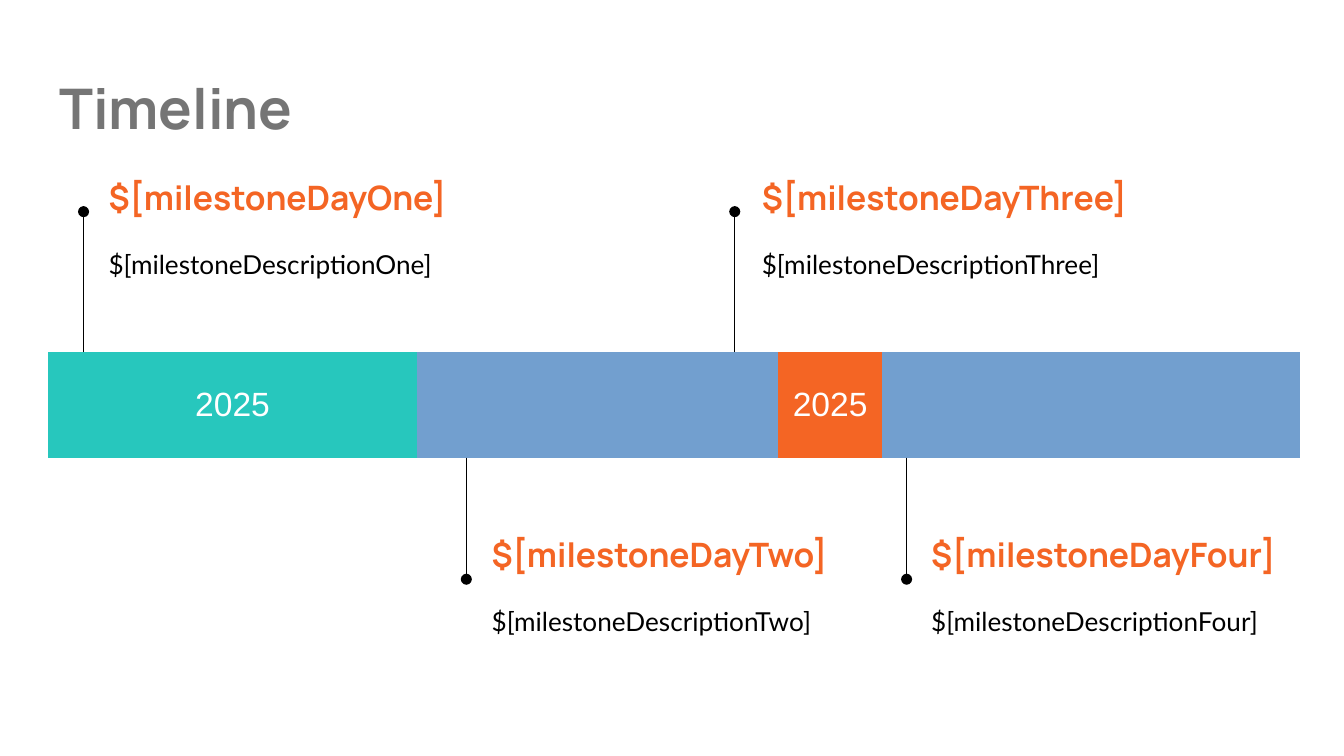
from dataclasses import dataclass

from lxml.etree import SubElement
from pptx import Presentation
from pptx.dml.color import RGBColor
from pptx.enum.shapes import MSO_CONNECTOR as Conn
from pptx.enum.text import MSO_ANCHOR as Anchor, MSO_AUTO_SIZE as AutoSize, PP_ALIGN as Align
from pptx.oxml.ns import qn
from pptx.util import Inches, Pt

COLS, ROWS = 100, 56.25  # grid of the slide
NO_GRID = "{2D5ABB26-0587-4C30-8999-92F81FD0307C}"  # table style without borders


@dataclass(frozen=True)
class Theme:
    grey: str = "757575"
    orange: str = "F46524"
    teal: str = "27C7BD"
    black: str = "000000"
    white: str = "FFFFFF"
    head_font: str = "Manrope"
    body_font: str = "Lato"
    bar_font: str = "Arial"
    title_size: int = 30
    head_size: int = 18
    body_size: int = 14
    line_width: float = 0.75


def write(tf, text, *, font, size, color, bold=False, align=Align.LEFT, spacing=None):
    p = tf.paragraphs[0]
    p.alignment = align
    p.line_spacing = spacing
    r = p.add_run()
    r.text = text
    r.font.name, r.font.size, r.font.bold = font, Pt(size), bold
    r.font.color.rgb = RGBColor.from_string(color)


class TimelineSlide:
    def __init__(self, prs, theme):
        self.t = theme
        self.w, self.h = prs.slide_width, prs.slide_height
        self.s = prs.slides.add_slide(prs.slide_layouts[5])

    def x(self, cols):
        return round(self.w * cols / COLS)

    def y(self, rows):
        return round(self.h * rows / ROWS)

    def box(self, left, top, width, height):
        return self.x(left), self.y(top), self.x(width), self.y(height)

    def pad(self, holder, anchor):
        holder.margin_left = holder.margin_right = Inches(0.1)
        holder.margin_top = holder.margin_bottom = Inches(0.1)
        holder.vertical_anchor = anchor

    def frame(self, sp, text, anchor, **style):
        tf = sp.text_frame
        tf.word_wrap = True
        tf.auto_size = AutoSize.NONE
        self.pad(tf, anchor)
        write(tf, text, **style)

    def title(self, text, *place):
        sp = self.s.shapes.title
        sp.left, sp.top, sp.width, sp.height = self.box(*place)
        self.frame(sp, text, Anchor.TOP, font=self.t.head_font, size=self.t.title_size,
                   color=self.t.grey, bold=True)

    def text(self, text, *place, anchor=Anchor.TOP, **style):
        self.frame(self.s.shapes.add_textbox(*self.box(*place)), text, anchor, **style)

    def bar(self, left, top, height, widths, segments):
        sp = self.s.shapes.add_table(1, len(widths), *self.box(left, top, sum(widths), height))
        table = sp.table
        table.first_row = table.horz_banding = False
        sp._element.find(".//" + qn("a:tableStyleId")).text = NO_GRID
        for column, width in zip(table.columns, widths):
            column.width = self.x(width)

        start = 0
        for span, label, color in segments:
            cell = table.cell(0, start)
            cell.merge(table.cell(0, start + span - 1))
            cell.fill.solid()
            cell.fill.fore_color.rgb = RGBColor.from_string(color)
            self.pad(cell, Anchor.MIDDLE)
            write(cell.text_frame, label, font=self.t.bar_font, size=self.t.head_size,
                  color=self.t.white, align=Align.CENTER)
            start += span

    def pin(self, col, start, end):
        line = self.s.shapes.add_connector(Conn.STRAIGHT, self.x(col), self.y(start),
                                           self.x(col), self.y(end))
        line.line.width = Pt(self.t.line_width)
        line.line.color.rgb = RGBColor.from_string(self.t.black)
        SubElement(line.line._get_or_add_ln(), qn("a:tailEnd"), type="oval")
        SubElement(line._element.spPr, qn("a:effectLst"))

    def milestone(self, name, pin_col, left, width, above):
        if above:
            bar_edge, dot, top, body_height = 26.2, 15.75, 11.5, 7.9
        else:
            bar_edge, dot, top, body_height = 34.05, 43.1, 38.1, 9.1
        self.pin(pin_col, bar_edge, dot)
        self.text(f"$[milestoneDay{name}]", left, top, width, 6.3, anchor=Anchor.MIDDLE,
                  font=self.t.head_font, size=self.t.head_size, color=self.t.orange, bold=True)
        self.text(f"$[milestoneDescription{name}]", left, top + 5.6, width, body_height,
                  font=self.t.body_font, size=self.t.body_size, color=self.t.black,
                  spacing=1.15)


def main():
    prs = Presentation()
    prs.slide_width = Inches(10)
    prs.slide_height = prs.slide_width * 9 // 16
    theme = Theme()
    slide = TimelineSlide(prs, theme)

    slide.title("Timeline", 3.4, 4.5, 93.2, 7)

    # Timeline bar: column span, label and colour of each segment
    month = 7.77
    slide.bar(3.55, 26.2, 7.9, [month] * 3 + [4.2, 11.3] + [month] * 7, [
        (4, "2025", theme.teal),
        (8, "2025", theme.orange),
    ])

    # Milestones: name, pin column, text column, text width, above the bar
    for milestone in [
        ("One", 6.22, 7.1, 30, True),
        ("Two", 34.7, 35.6, 30, False),
        ("Three", 54.67, 55.7, 33.3, True),
        ("Four", 67.46, 68.3, 33.3, False),
    ]:
        slide.milestone(*milestone)

    prs.save("out.pptx")


if __name__ == "__main__":
    main()
